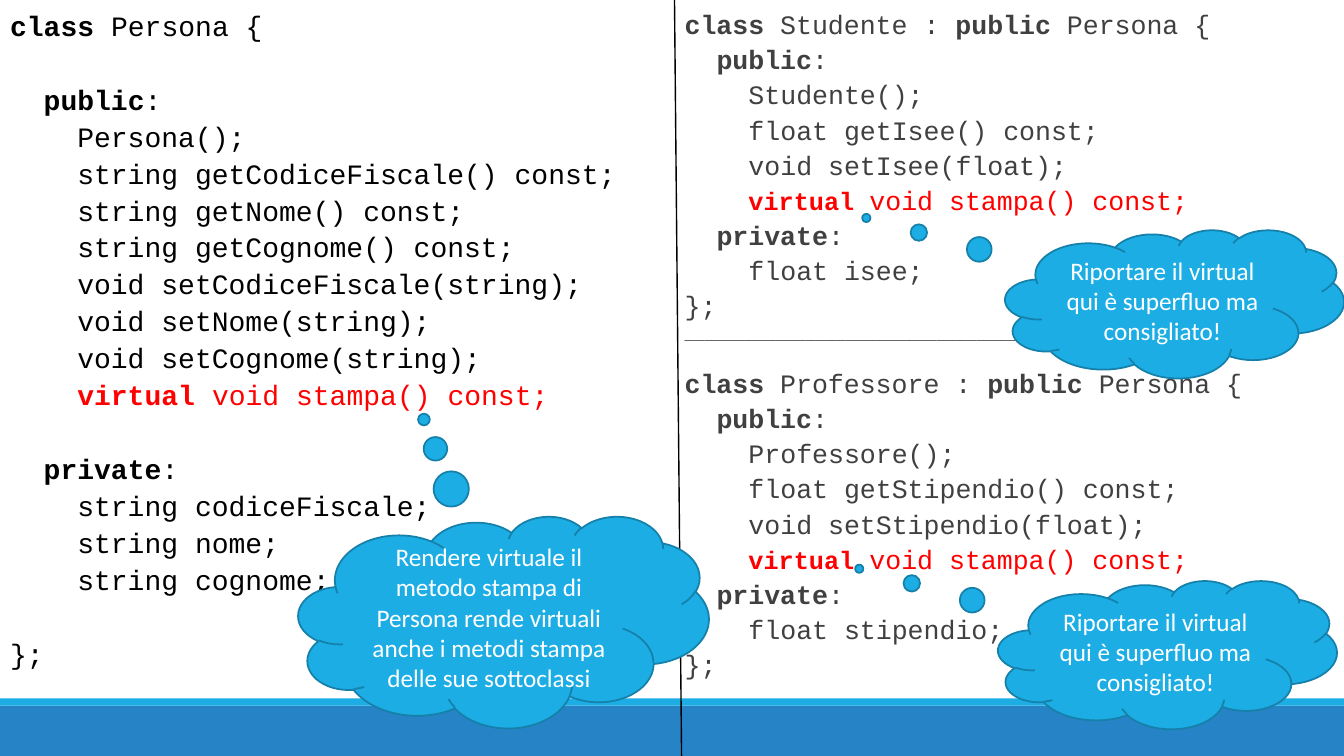
from pptx import Presentation
from pptx.dml.color import RGBColor
from pptx.enum.shapes import MSO_CONNECTOR, MSO_SHAPE as Shape
from pptx.enum.text import MSO_ANCHOR as Anchor, MSO_AUTO_SIZE as AutoSize, PP_ALIGN as Align
from pptx.oxml.ns import qn
from pptx.util import Inches, Pt
from lxml import etree

COLORS = {"black": "000000", "gray": "404040", "red": "FF0000", "white": "FFFFFF",
          "cyan": "1CADE4", "edge": "1580A9", "blue": "2683C6"}
CODE_FONT, NOTE_FONT = "Courier New", "Calibri"
RULE = "_" * 57

# Each code line: indent level, text with *bold* parts, space before in points
PERSONA = [
    (0, "*class *Persona {", 0),
    (1, "*public*:", 26.3),
    (2, "Persona();", 0),
    (2, "string getCodiceFiscale() const;", 0),
    (2, "string getNome() const;", 0),
    (2, "string getCognome() const;", 0),
    (2, "void setCodiceFiscale(string);", 0),
    (2, "void setNome(string);", 0),
    (2, "void setCognome(string);", 0),
    (2, "*virtual *void stampa() const;", 0),
    (1, "*private*:", 26.3),
    (2, "string codiceFiscale;", 0),
    (2, "string nome;", 0),
    (2, "string cognome;", 0),
    (0, "};", 26.3),
]


def subclass(name, attribute, gap=0):
    """Code lines of a class derived from Persona, with one float attribute."""
    accessor = attribute.capitalize()
    return [
        (0, f"*class *{name} : *public* Persona {{", gap),
        (1, "*public*:", 0),
        (2, f"{name}();", 0),
        (2, f"float get{accessor}() const;", 0),
        (2, f"void set{accessor}(float);", 0),
        (2, "*virtual *void stampa() const;", 0),
        (1, "*private*:", 0),
        (2, f"float {attribute};", 0),
        (0, "};", 0),
    ]


SUBCLASSES = (subclass("Studente", "isee") + [(0, RULE, 0)]
              + subclass("Professore", "stipendio", gap=15))

# left, width, font size, size of "virtual", colour, code lines
PANELS = [
    (0, 6.68, 20, 20, "black", PERSONA),
    (6.69, 6.65, 19, 18, "gray", SUBCLASSES),
]
BARS = [(7, 0.5, "blue"), (6.93, 0.07, "cyan")]
ADVICE = "Riportare il virtual qui è superfluo ma consigliato!"
# left, top, width, height, tail adjustments, text
CLOUDS = [
    (2.96, 5.12, 4.07, 2.1, (-0.194, -0.956),
     "Rendere virtuale il metodo stampa di Persona rende virtuali "
     "anche i metodi stampa delle sue sottoclassi"),
    (9.97, 2.28, 3.36, 1.47, (-0.91, -0.58), ADVICE),
    (9.9, 5.76, 3.36, 1.47, (-0.91, -0.58), ADVICE),
]


def rgb(name):
    return RGBColor.from_string(COLORS[name])


def add_span(para, text, font, size, color, bold=False):
    span = para.add_run()
    span.text = text
    span.font.name = font
    span.font.size = Pt(size)
    span.font.bold = bold
    span.font.color.rgb = rgb(color)


def place(box, left, top, width, height):
    box.left, box.top = Inches(left), Inches(top)
    box.width, box.height = Inches(width), Inches(height)


def fill_panel(box, left, width, size, virtual_size, color, lines):
    place(box, left, 0, width, 7.5)
    frame = box.text_frame
    frame.word_wrap = True
    frame.auto_size = AutoSize.NONE
    frame.vertical_anchor = Anchor.TOP
    frame.margin_left = frame.margin_right = 0
    frame.margin_top = frame.margin_bottom = Inches(0.05)
    step = Pt(2 * 0.6 * size)  # two monospaced characters
    for index, (level, text, gap) in enumerate(lines):
        para = frame.paragraphs[0] if index == 0 else frame.add_paragraph()
        para.line_spacing = 1.1
        para.space_before, para.space_after = Pt(gap), Pt(0)
        props = para._p.get_or_add_pPr()
        props.set("marL", str(Inches(0.1) + level * step))
        props.set("indent", "0")
        etree.SubElement(props, qn("a:buNone"))
        is_virtual = text.startswith("*virtual")
        for part, piece in enumerate(text.split("*")):
            bold = part % 2 == 1
            span_size = 12 if text == RULE else virtual_size if is_virtual and bold else size
            if piece:
                add_span(para, piece, CODE_FONT, span_size,
                         "red" if is_virtual else color, bold)


def add_filled(page, kind, left, top, width, height, color):
    box = page.shapes.add_shape(kind, Inches(left), Inches(top), Inches(width), Inches(height))
    box.shadow.inherit = False
    box.fill.solid()
    box.fill.fore_color.rgb = rgb(color)
    box.line.fill.background()
    return box


def add_cloud(page, left, top, width, height, tail, text):
    cloud = add_filled(page, Shape.CLOUD_CALLOUT, left, top, width, height, "cyan")
    cloud.adjustments[0], cloud.adjustments[1] = tail
    cloud.line.color.rgb = rgb("edge")
    cloud.line.width = Pt(1.25)
    frame = cloud.text_frame
    frame.word_wrap = True
    frame.vertical_anchor = Anchor.MIDDLE
    para = frame.paragraphs[0]
    para.alignment = Align.CENTER
    add_span(para, text, NOTE_FONT, 18, "white")


def main():
    deck = Presentation()
    deck.slide_width, deck.slide_height = Inches(13.33), Inches(7.5)
    page = deck.slides.add_slide(deck.slide_layouts[3])
    title, *bodies = page.placeholders
    title.element.getparent().remove(title.element)

    for top, height, color in BARS:
        add_filled(page, Shape.RECTANGLE, 0, top, 13.33, height, color)
    for body, panel in zip(bodies, PANELS):
        fill_panel(body, *panel)

    divider = page.shapes.add_connector(MSO_CONNECTOR.STRAIGHT, Inches(6.69), 0,
                                        Inches(6.76), Inches(7.5))
    divider.line.color.rgb = rgb("black")
    divider.line.width = Pt(1)
    etree.SubElement(divider._element.spPr, qn("a:effectLst"))

    for cloud in CLOUDS:
        add_cloud(page, *cloud)
    deck.save("out.pptx")


if __name__ == "__main__":
    main()
